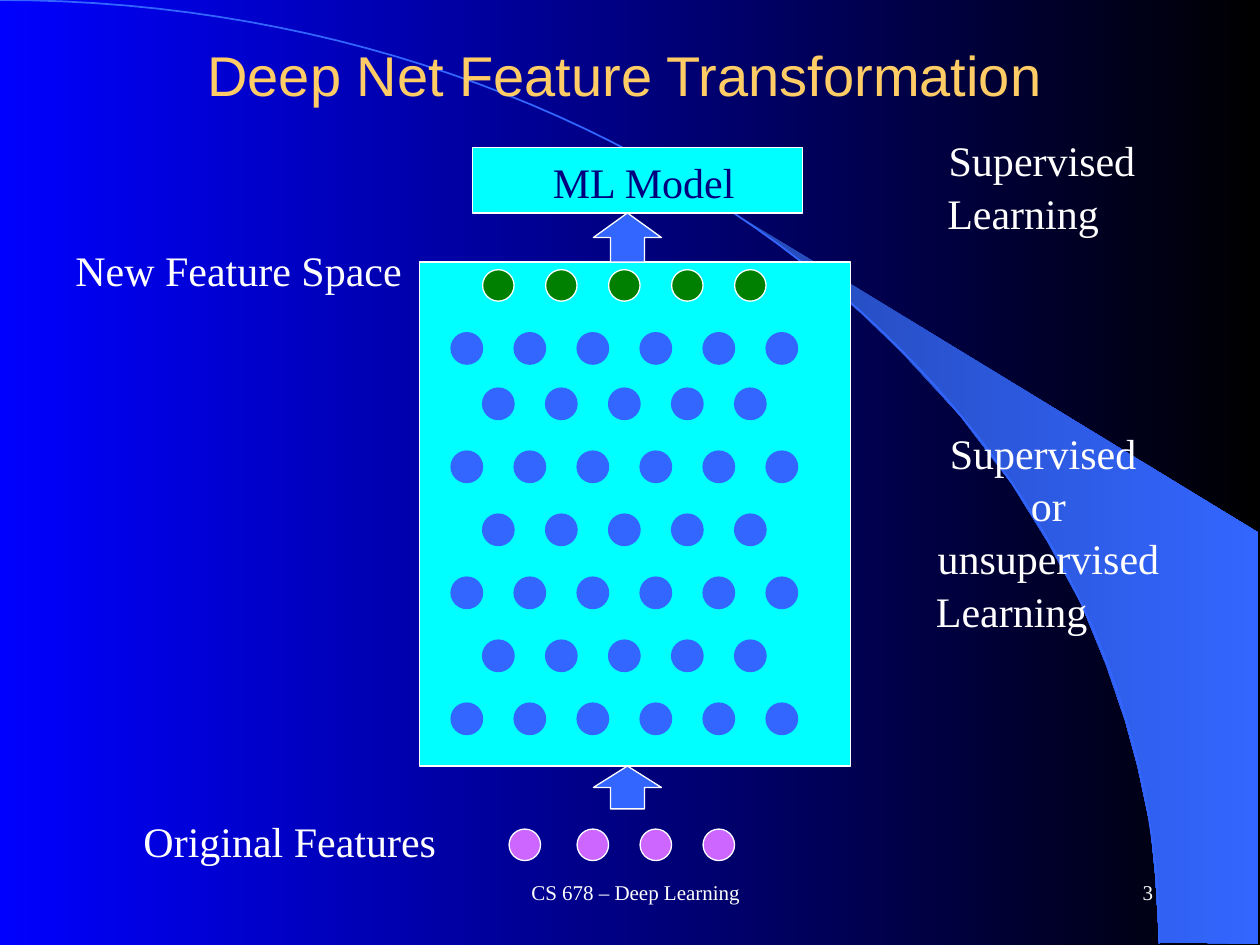
from dataclasses import dataclass

from pptx import Presentation
from pptx.dml.color import RGBColor
from pptx.enum import shapes, text
from pptx.util import Inches, Pt


@dataclass(frozen=True)
class Theme:
    white: str = "FFFFFF"
    black: str = "000000"
    deep_blue: str = "0000FF"
    blue: str = "3366FF"
    dark_swoosh: str = "2449B6"
    cyan: str = "00FFFF"
    green: str = "008000"
    violet: str = "CC66FF"
    navy: str = "00007F"
    gold: str = "FFCC66"
    heading_font: str = "Arial"
    body_font: str = "Times New Roman"
    title_size: int = 32
    label_size: int = 24
    footer_size: int = 12
    outline: float = 0.75


THEME = Theme()
LEFT, CENTER, RIGHT = (text.PP_ALIGN.LEFT, text.PP_ALIGN.CENTER,
                       text.PP_ALIGN.RIGHT)
SHAPE = shapes.MSO_SHAPE
DOT_SIZE = 0.25
DOT_GAP = 0.5
SWOOSH = [
    (9.2, 7.48), (9.99, 7.49), (9.99, 4.23), (5.89, 1.73), (6.24, 1.99),
    (6.53, 2.22), (6.85, 2.5), (7.16, 2.8), (7.62, 3.3), (8.03, 3.84),
    (8.32, 4.31), (8.58, 4.79), (8.78, 5.28), (8.93, 5.72), (9.03, 6.09),
    (9.13, 6.56), (9.17, 6.96), (9.2, 7.48),
]
ARC = [(0, 0), (5.08, 0), (9.2, 3.35), (9.2, 7.49)]


def rgb(color):
    return RGBColor.from_string(color)


def fill_gradient(fill, start, end):
    fill.gradient()
    fill.gradient_angle = 0
    for stop, color in zip(fill.gradient_stops, (start, end)):
        stop.color.rgb = rgb(color)


def bezier(controls, steps=60):
    """Return points along a cubic curve."""
    def point(t):
        weights = ((1 - t) ** 3, 3 * t * (1 - t) ** 2,
                   3 * t ** 2 * (1 - t), t ** 3)
        return tuple(sum(w * c[axis] for w, c in zip(weights, controls))
                     for axis in (0, 1))
    return [point(step / steps) for step in range(steps + 1)]


def add_outline(slide, points, close):
    first, *rest = [(Inches(x), Inches(y)) for x, y in points]
    builder = slide.shapes.build_freeform(*first)
    builder.add_line_segments(rest, close=close)
    outline = builder.convert_to_shape()
    outline.shadow.inherit = False
    return outline


def add_backdrop(slide):
    fill_gradient(slide.background.fill, THEME.deep_blue, THEME.black)
    swoosh = add_outline(slide, SWOOSH, close=True)
    fill_gradient(swoosh.fill, THEME.dark_swoosh, THEME.blue)
    swoosh.line.fill.background()
    arc = add_outline(slide, bezier(ARC), close=False)
    arc.fill.background()
    arc.line.color.rgb = rgb(THEME.blue)
    arc.line.width = Pt(1)


def add_block(slide, kind, place, fill, line=THEME.white):
    block = slide.shapes.add_shape(kind, *map(Inches, place))
    block.shadow.inherit = False
    block.fill.solid()
    block.fill.fore_color.rgb = rgb(fill)
    block.line.color.rgb = rgb(line)
    block.line.width = Pt(THEME.outline)


def add_dots(slide, lefts, top, fill, line=THEME.white):
    for left in lefts:
        add_block(slide, SHAPE.OVAL, (left, top, DOT_SIZE, DOT_SIZE),
                  fill, line)


def dot_row(count):
    """Return left edges; five-dot rows sit half a gap inside six-dot rows."""
    start = 3.58 + (6 - count) * DOT_GAP / 2
    return [start + DOT_GAP * i for i in range(count)]


def add_lines(frame, lines, size, color, font=THEME.body_font):
    """Write one paragraph for each (wording, alignment) pair."""
    for index, (wording, alignment) in enumerate(lines):
        paragraph = frame.add_paragraph() if index else frame.paragraphs[0]
        paragraph.alignment = alignment
        if len(lines) > 1:
            paragraph.line_spacing = 1.05
        run = paragraph.add_run()
        run.text = wording
        run.font.name = font
        run.font.size = Pt(size)
        run.font.color.rgb = rgb(color)


def add_label(slide, place, lines, color=THEME.white):
    frame = slide.shapes.add_textbox(*map(Inches, place)).text_frame
    frame.word_wrap = False
    frame.auto_size = text.MSO_AUTO_SIZE.SHAPE_TO_FIT_TEXT
    add_lines(frame, lines, THEME.label_size, color)


def add_band(slide, place, wording, alignment, size, color=THEME.white,
             font=THEME.body_font):
    """Add a title or footer text, centred vertically."""
    frame = slide.shapes.add_textbox(*map(Inches, place)).text_frame
    frame.word_wrap = True
    frame.vertical_anchor = text.MSO_ANCHOR.MIDDLE
    add_lines(frame, [(wording, alignment)], size, color, font)


def add_network(slide):
    add_block(slide, SHAPE.RECTANGLE, (3.33, 2.08, 3.42, 4), THEME.cyan)
    add_dots(slide, dot_row(5), 2.14, THEME.green)
    hidden_tops = [2.64] + [3.08 + DOT_GAP * i for i in range(6)]
    for layer, top in enumerate(hidden_tops):
        add_dots(slide, dot_row(5 if layer % 2 else 6), top,
                 THEME.blue, THEME.blue)
    add_dots(slide, [4.04, 4.58, 5.08, 5.58], 6.58, THEME.violet)
    for top, height in ((1.69, 0.39), (6.08, 0.34)):
        add_block(slide, SHAPE.UP_ARROW, (4.71, top, 0.54, height),
                  THEME.blue)
    add_block(slide, SHAPE.RECTANGLE, (3.75, 1.17, 2.62, 0.52), THEME.cyan)


def add_labels(slide):
    add_label(slide, (4.29, 1.19, 1.66, 0.5), [("ML Model", LEFT)],
              THEME.navy)
    add_label(slide, (0.5, 1.89, 2.83, 0.5), [("New Feature Space", LEFT)])
    add_label(slide, (1.04, 6.42, 2.55, 0.5), [("Original Features", LEFT)])
    add_label(slide, (7.42, 1, 1.7, 0.91),
              [("Supervised", CENTER), ("Learning", LEFT)])
    add_label(slide, (7.33, 3.32, 1.98, 1.72),
              [("Supervised ", CENTER), ("or", CENTER),
               ("unsupervised", CENTER), ("Learning", LEFT)])


def main():
    deck = Presentation()
    deck.slide_width, deck.slide_height = Inches(10), Inches(7.5)
    slide = deck.slides.add_slide(deck.slide_layouts[6])
    add_backdrop(slide)
    add_band(slide, (0.5, 0, 8.92, 1.17), "Deep Net Feature Transformation",
             CENTER, THEME.title_size, THEME.gold, THEME.heading_font)
    add_band(slide, (3.17, 6.83, 3.75, 0.5), "CS 678 – Deep Learning",
             CENTER, THEME.footer_size)
    add_band(slide, (7.17, 6.83, 2.08, 0.5), "3", RIGHT, THEME.footer_size)
    add_network(slide)
    add_labels(slide)
    deck.save("out.pptx")


if __name__ == "__main__":
    main()
